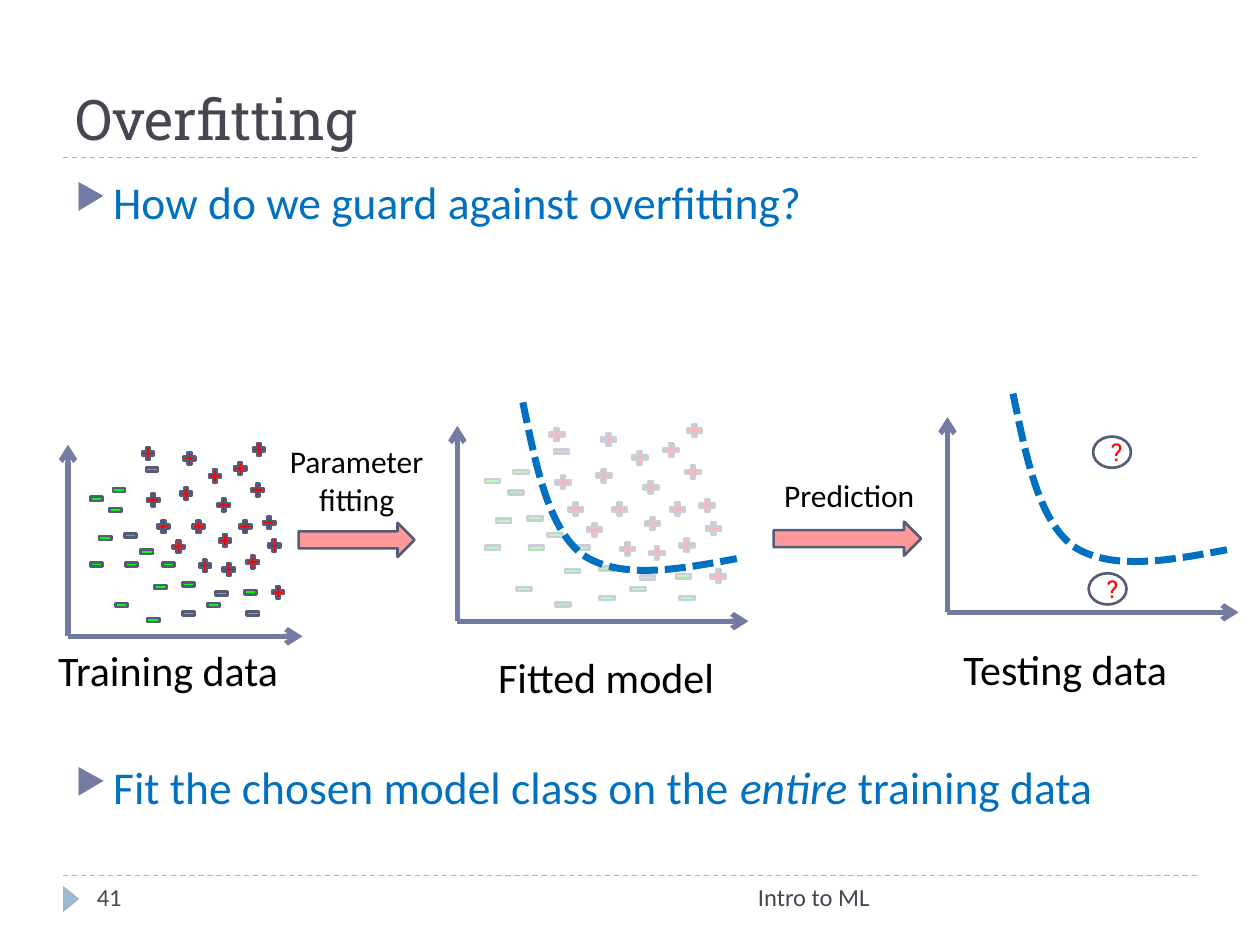
from dataclasses import dataclass

from lxml.etree import SubElement
from pptx import Presentation
from pptx.dml.color import RGBColor
from pptx.enum.dml import MSO_LINE
from pptx.enum.shapes import MSO_CONNECTOR, MSO_SHAPE
from pptx.enum.text import MSO_ANCHOR, PP_ALIGN
from pptx.oxml.ns import qn
from pptx.util import Inches, Pt


@dataclass(frozen=True)
class Theme:
    head: str = "Roboto Slab"
    body: str = "Calibri"
    ink: str = "464653"
    black: str = "000000"
    white: str = "FFFFFF"
    blue: str = "0070C0"
    axis: str = "727CA3"
    edge: str = "545C79"
    rule: str = "9FB8CD"
    red: str = "FF0000"
    green: str = "00FF00"
    title: int = 32
    point: int = 26
    label: int = 24
    note: int = 18
    small: int = 14


T = Theme()
CELL = Inches(10) / 100  # the slide is a grid of 100 columns by 75 rows

# Marks as (column, row) on a field of 144 by 135
FIELD = (144, 135)
PLUS = [(94, 21), (53, 61), (124, 89), (141, 76), (45, 40), (41, 3), (71, 35),
        (74, 7), (101, 44), (128, 32), (129, 0), (65, 77), (144, 113),
        (102, 72), (105, 95), (86, 92), (81, 61), (118, 61), (137, 58),
        (114, 15)]
MINUS = [(28, 91), (40, 81), (73, 107), (93, 123), (27, 68), (0, 39), (0, 91),
         (20, 123), (51, 109), (7, 70), (44, 16), (57, 91), (122, 113),
         (99, 114), (15, 48), (18, 32), (73, 130), (45, 135), (124, 130)]
# Two joined Bezier arcs, as shares of the axes box
ARCS = [[(.225, -.12), (.27, .2), (.31, .52), (.43, .66)],
        [(.43, .66), (.56, .79), (.76, .735), (.96, .68)]]


def emu(*cells):
    return [round(c * CELL) for c in cells]


def within(box, x, y, w=0, h=0):
    """Turn shares of a box into grid cells."""
    left, top, wide, high = box
    return left + x * wide, top + y * high, w * wide, h * high


def rgb(code):
    return RGBColor.from_string(code)


def write(para, text, size=T.small, font=T.body, color=T.black,
          align=PP_ALIGN.LEFT, italic=False):
    para.alignment = align
    run = para.add_run()
    run.text = text
    run.font.size, run.font.name = Pt(size), font
    run.font.italic = italic
    run.font.color.rgb = rgb(color)


def frame(slide, box, anchor=MSO_ANCHOR.TOP):
    area = slide.shapes.add_textbox(*emu(*box)).text_frame
    area.word_wrap = True
    area.vertical_anchor = anchor
    return area


def label(slide, box, text, anchor=MSO_ANCHOR.TOP, **style):
    write(frame(slide, box, anchor).paragraphs[0], text, **style)


def shape(slide, kind, box, fill=None, edge=None, alpha=None):
    item = slide.shapes.add_shape(kind, *emu(*box))
    item.shadow.inherit = False
    if fill:
        item.fill.solid()
        item.fill.fore_color.rgb = rgb(fill)
    else:
        item.fill.background()
    if alpha:
        tone = item.fill._xPr.find(qn("a:solidFill"))[0]
        SubElement(tone, qn("a:alpha"), val=str(alpha * 1000))
    if edge:
        item.line.color.rgb = rgb(edge)
        item.line.width = Pt(1.5)
    else:
        item.line.fill.background()
    return item


def line(slide, start, end, color, width, dash=None, head=False):
    item = slide.shapes.add_connector(
        MSO_CONNECTOR.STRAIGHT, *emu(*start, *end))
    item.line.color.rgb = rgb(color)
    item.line.width = Pt(width)
    if dash:
        item.line.dash_style = dash
    if head:
        SubElement(item.line._get_or_add_ln(), qn("a:tailEnd"), type="arrow")
    SubElement(item._element.spPr, qn("a:effectLst"))


def bullet(para, gap):
    para.space_before = Pt(gap)
    props = para._p.get_or_add_pPr()
    props.set("marL", str(Inches(.3)))
    props.set("indent", str(-Inches(.3)))
    tone = SubElement(props, qn("a:buClr"))
    SubElement(tone, qn("a:srgbClr"), val=T.axis)
    SubElement(props, qn("a:buSzPct"), val="76000")
    SubElement(props, qn("a:buChar"), char="▶")


def header(slide, box):
    left, top, wide, high = box
    label(slide, box, "Overfitting", MSO_ANCHOR.BOTTOM,
          size=T.title, font=T.head, color=T.ink)
    line(slide, (left, top + high), (left + wide, top + high),
         T.rule, .75, MSO_LINE.DASH)


def footer(slide, box):
    left, top, wide, high = box
    line(slide, (left, top), (left + wide, top), T.rule, .75, MSO_LINE.DASH)
    mark = shape(slide, MSO_SHAPE.ISOSCELES_TRIANGLE,
                 (left - .4, top + 1.2, 2.1, 1.3), T.rule)
    mark.rotation = 90
    label(slide, (left + 1.7, top, 21.7, high), "41", color=T.ink)
    label(slide, (left + 26.7, top, 38.3, high), "Intro to ML",
          color=T.ink, align=PP_ALIGN.RIGHT)


def points(slide, box):
    area = frame(slide, box)
    first, last = area.paragraphs[0], area.add_paragraph()
    style = dict(size=T.point, color=T.blue)
    write(first, "How do we guard against overfitting?", **style)
    write(last, "Fit the chosen model class on the ", **style)
    write(last, "entire ", italic=True, **style)
    write(last, "training data", **style)
    bullet(first, 6)
    bullet(last, 303)  # leaves room for the diagram


def axes(slide, box):
    base = within(box, 0, 1)[:2]
    for tip in ((1, 1), (0, 0)):
        line(slide, base, within(box, *tip)[:2], T.axis, 3, head=True)


def marks(slide, box):
    groups = ((MSO_SHAPE.MATH_MINUS, T.green, MINUS),
              (MSO_SHAPE.MATH_PLUS, T.red, PLUS))
    for kind, fill, spots in groups:
        for col, row in spots:
            x = .086 + .775 * col / FIELD[0]
            y = -.02 + .89 * row / FIELD[1]
            shape(slide, kind, within(box, x, y, .07, .09), fill, T.edge)


def curve(slide, box, steps=24):
    dots = []
    for a, b, c, d in ARCS:
        for i in range(steps + 1):
            t = i / steps
            u = 1 - t
            spot = [u**3 * p + 3 * u * u * t * q + 3 * u * t * t * r + t**3 * s
                    for p, q, r, s in zip(a, b, c, d)]
            dots.append(emu(*within(box, *spot)[:2]))
    pen = slide.shapes.build_freeform(*dots[0])
    pen.add_line_segments(dots[1:], close=False)
    item = pen.convert_to_shape()
    item.shadow.inherit = False
    item.fill.background()
    item.line.color.rgb = rgb(T.blue)
    item.line.width = Pt(4)
    item.line.dash_style = MSO_LINE.SQUARE_DOT


def caption(slide, box, text):
    label(slide, box, text, size=T.label, align=PP_ALIGN.CENTER)


def train(slide, box):
    axes(slide, box)
    marks(slide, box)
    caption(slide, (2.5, 50.7, 21.7, 5), "Training data")


def fitted(slide, box):
    axes(slide, box)
    marks(slide, box)
    # Pale veil over the marks
    shape(slide, MSO_SHAPE.RECTANGLE, within(box, .087, -.065, .86, 1),
          T.white, alpha=70)
    curve(slide, box)
    caption(slide, (34.7, 51.2, 26.8, 5), "Fitted model")


def testing(slide, box):
    axes(slide, box)
    for x, y in ((.5, .1), (.485, .8)):
        ring = shape(slide, MSO_SHAPE.OVAL, within(box, x, y, .13, .16),
                     edge=T.edge)
        ring.text_frame.vertical_anchor = MSO_ANCHOR.MIDDLE
        write(ring.text_frame.paragraphs[0], "?", font=T.head, color=T.red,
              align=PP_ALIGN.CENTER)
    curve(slide, box)
    caption(slide, (73.7, 50.6, 21.7, 5), "Testing data")


def step(slide, box, text, note):
    shape(slide, MSO_SHAPE.RIGHT_ARROW, box, T.red, T.edge, alpha=40)
    label(slide, note, text, size=T.note, align=PP_ALIGN.CENTER)


def main():
    deck = Presentation()
    deck.slide_width, deck.slide_height = Inches(10), Inches(7.5)
    slide = deck.slides.add_slide(deck.slide_layouts[6])
    header(slide, (5, 1.7, 90, 10.8))
    footer(slide, (5, 69.5, 90, 4))
    points(slide, (5, 13.3, 90, 54))
    # Diagram, left to right
    train(slide, (5.4, 35.3, 18.6, 15.2))
    step(slide, (23.7, 41.5, 9.2, 2.7), "Parameter fitting",
         (21.2, 34.6, 14.2, 7.1))
    fitted(slide, (36.3, 33.8, 23.1, 15.5))
    step(slide, (61.4, 41.4, 11.7, 2.7), "Prediction",
         (60.3, 37.3, 14.2, 4))
    testing(slide, (75.2, 33.1, 23.1, 15.5))
    deck.save("out.pptx")


if __name__ == "__main__":
    main()
